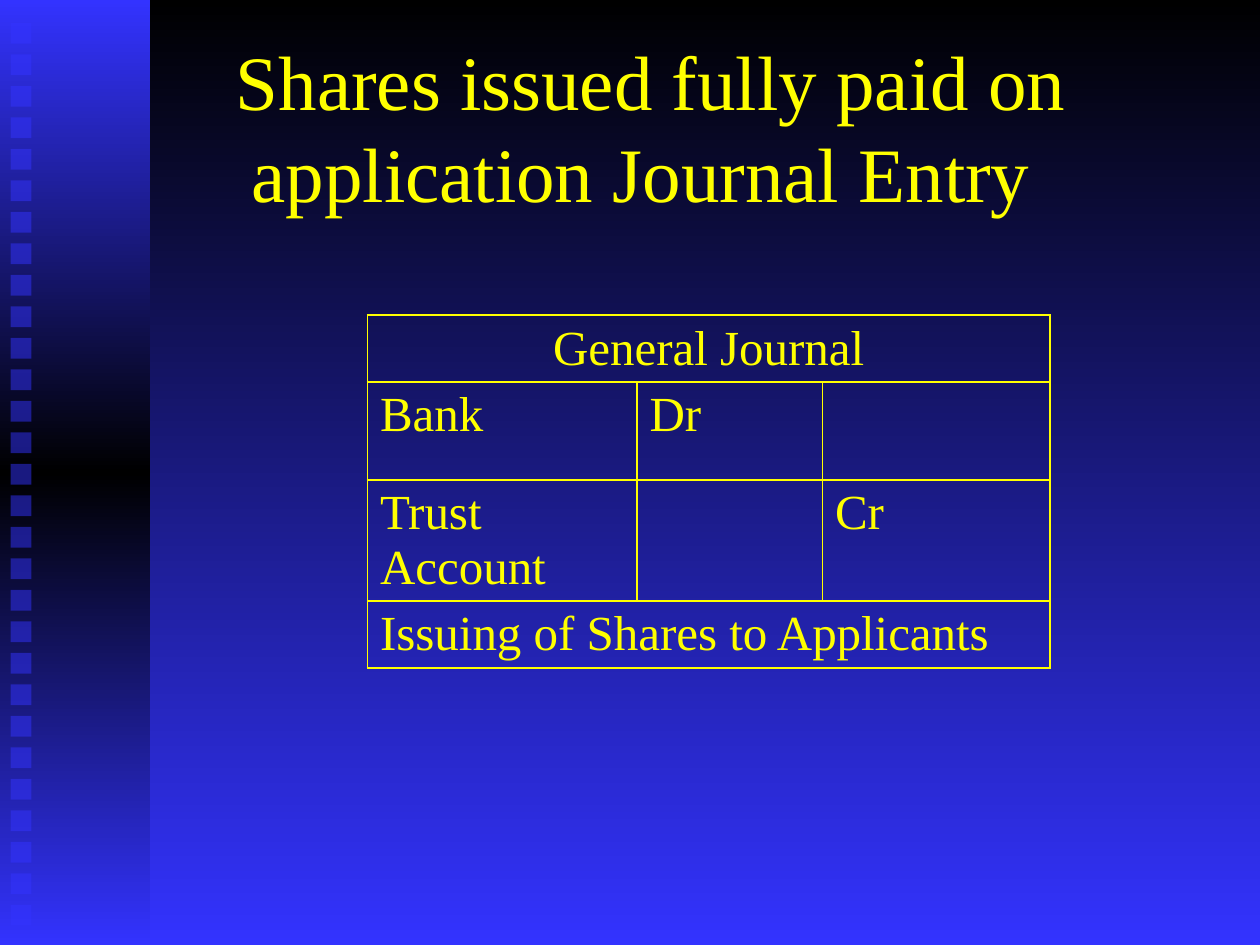
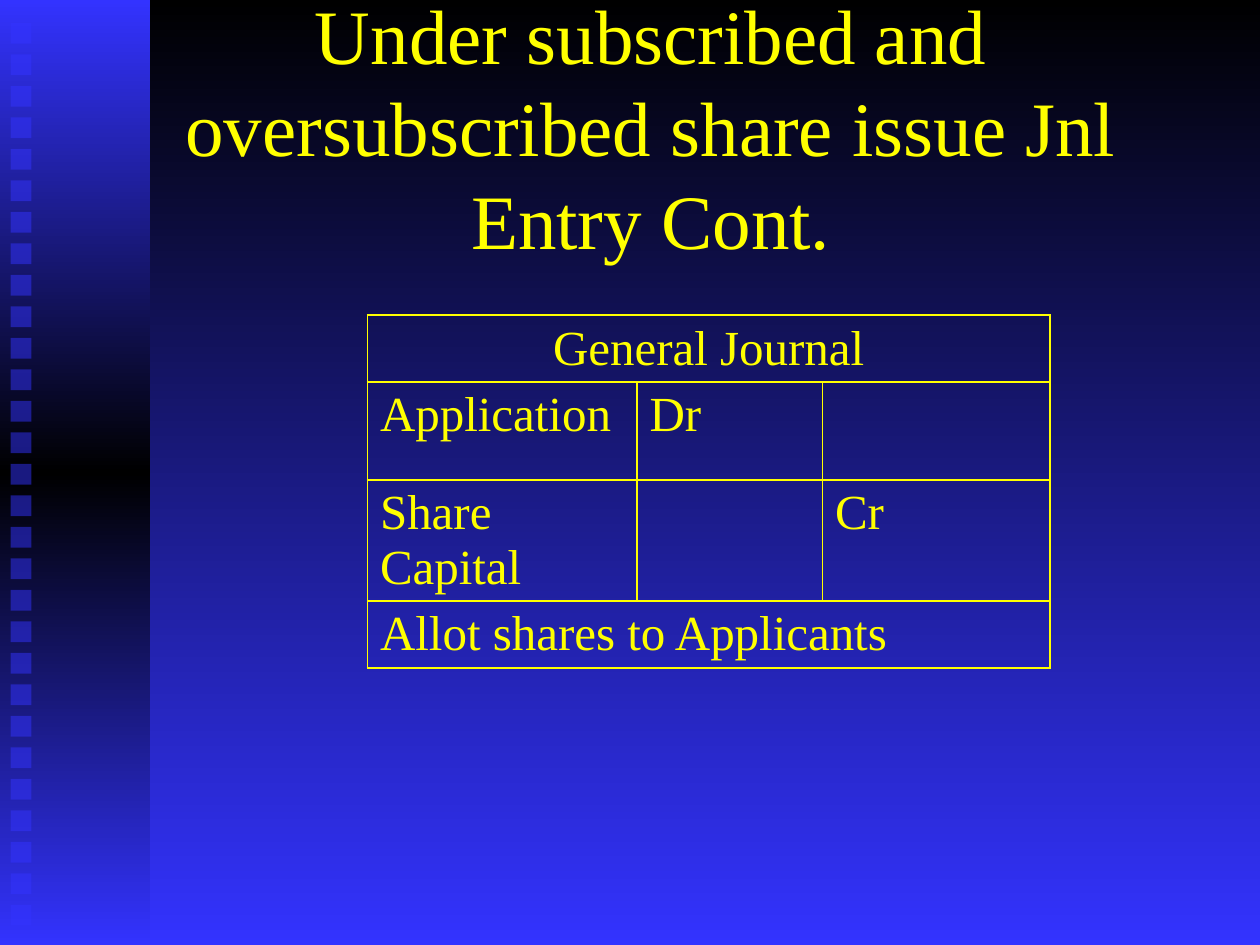
"""Build two slides showing share issue journal entries."""
from dataclasses import dataclass

from lxml.etree import SubElement
from pptx import Presentation
from pptx.dml.color import RGBColor
from pptx.enum.shapes import MSO_SHAPE
from pptx.enum.text import MSO_ANCHOR, MSO_AUTO_SIZE, PP_ALIGN
from pptx.oxml.ns import qn
from pptx.util import Pt


@dataclass(frozen=True)
class Theme:
    """Colours and type sizes of the deck."""
    blue: str = "3333FF"
    black: str = "000000"
    yellow: str = "FFFF00"
    font: str = "Times New Roman"
    title_size: int = 44
    table_size: int = 28
    border_width: int = 1


@dataclass(frozen=True)
class Box:
    """A rectangle in points."""
    left: float
    top: float
    width: float
    height: float

    def lengths(self):
        """Return the four lengths of the rectangle."""
        return Pt(self.left), Pt(self.top), Pt(self.width), Pt(self.height)


THEME = Theme()
PAGE_BOX = Box(0, 0, 720, 540)
BAND_BOX = Box(0, 0, 85.7, 540)
TITLE_BOX = Box(66, 24, 612, 96)
JOURNAL_BOX = Box(210, 180, 390, 212)
COLUMN_WIDTHS = (154, 106, 130)
ROW_HEIGHTS = (31, 56, 55, 33)
ENTRIES = (
    ("Shares issued fully paid on application Journal Entry ",
     "Bank", "Trust Account", "Issuing of Shares to Applicants"),
    ("Under subscribed and oversubscribed share issue Jnl Entry Cont.",
     "Application", "Share Capital", "Allot shares to Applicants"),
)


def paint_gradient(fill, owner, colours):
    """Fill from top to bottom with evenly spaced colours."""
    fill.gradient()
    fill.gradient_angle = 270
    stops = next(owner.iter(qn("a:gsLst")))
    for stop in list(stops):
        stops.remove(stop)
    for index, colour in enumerate(colours):
        position = 100000 * index // (len(colours) - 1)
        stop = SubElement(stops, qn("a:gs"), pos=str(position))
        SubElement(stop, qn("a:srgbClr"), val=colour)


def add_block(group, box):
    """Add a plain rectangle without line or shadow."""
    block = group.shapes.add_shape(MSO_SHAPE.RECTANGLE, *box.lengths())
    block.shadow.inherit = False
    block.line.fill.background()
    return block


def add_side_band(page, master, box):
    """Draw the band with its column of squares and place it on the master."""
    group = page.shapes.add_group_shape()
    band = add_block(group, box)
    paint_gradient(band.fill, band.element, (THEME.blue, THEME.black, THEME.blue))
    for index in range(29):
        square = add_block(group, Box(box.left + 6, box.top + 13 + 18 * index, 12, 12))
        square.fill.solid()
        square.fill.fore_color.rgb = RGBColor.from_string(THEME.blue)
        colour = next(square.element.iter(qn("a:srgbClr")))
        SubElement(colour, qn("a:alpha"), val="50000")
    for number, properties in enumerate(group.element.iter(qn("p:cNvPr")), 100):
        properties.set("id", str(number))
    master.shapes.element.insert(2, group.element)


def write_text(paragraph, text, size, alignment):
    """Write one run in the deck's type."""
    paragraph.alignment = alignment
    span = paragraph.add_run()
    span.text = text
    span.font.name = THEME.font
    span.font.size = Pt(size)
    span.font.color.rgb = RGBColor.from_string(THEME.yellow)


def place_title(page, box, text):
    """Move the title placeholder into its box and fill it."""
    title = page.shapes.title
    title.left, title.top, title.width, title.height = box.lengths()
    frame = title.text_frame
    frame.word_wrap = True
    frame.auto_size = MSO_AUTO_SIZE.NONE
    frame.vertical_anchor = MSO_ANCHOR.MIDDLE
    write_text(frame.paragraphs[0], text, THEME.title_size, PP_ALIGN.CENTER)


def outline_cell(cell):
    """Give a cell four border lines and no fill."""
    properties = cell._tc.get_or_add_tcPr()
    for side in ("lnL", "lnR", "lnT", "lnB"):
        line = SubElement(properties, qn(f"a:{side}"), w=str(Pt(THEME.border_width)))
        solid = SubElement(line, qn("a:solidFill"))
        SubElement(solid, qn("a:srgbClr"), val=THEME.yellow)
    cell.fill.background()


def add_journal(page, box, debit, credit, narration):
    """Add the general journal table."""
    rows = (("General Journal", "", ""), (debit, "Dr", ""),
            (credit, "", "Cr"), (narration, "", ""))
    frame = page.shapes.add_table(len(rows), len(COLUMN_WIDTHS), *box.lengths())
    table = frame.table
    table.first_row = table.horz_banding = False
    for column, width in zip(table.columns, COLUMN_WIDTHS):
        column.width = Pt(width)
    for row, height in zip(table.rows, ROW_HEIGHTS):
        row.height = Pt(height)
    frame.height = Pt(box.height)
    for row_index, texts in enumerate(rows):
        alignment = PP_ALIGN.LEFT if row_index else PP_ALIGN.CENTER
        for column_index, text in enumerate(texts):
            cell = table.cell(row_index, column_index)
            outline_cell(cell)
            if text:
                write_text(cell.text_frame.paragraphs[0], text, THEME.table_size, alignment)
    for row_index in (0, len(rows) - 1):
        table.cell(row_index, 0).merge(table.cell(row_index, len(COLUMN_WIDTHS) - 1))


def add_entry_slide(deck, heading, debit, credit, narration):
    """Add a slide with a title and a journal."""
    page = deck.slides.add_slide(deck.slide_layouts.get_by_name("Title Only"))
    place_title(page, TITLE_BOX, heading)
    add_journal(page, JOURNAL_BOX, debit, credit, narration)
    return page


def main():
    """Build and save the deck."""
    deck = Presentation()
    deck.slide_width, deck.slide_height = Pt(PAGE_BOX.width), Pt(PAGE_BOX.height)
    master = deck.slide_master
    paint_gradient(master.background.fill, master.element, (THEME.black, THEME.blue))
    pages = [add_entry_slide(deck, *entry) for entry in ENTRIES]
    add_side_band(pages[0], master, BAND_BOX)
    deck.save("out.pptx")


if __name__ == "__main__":
    main()
